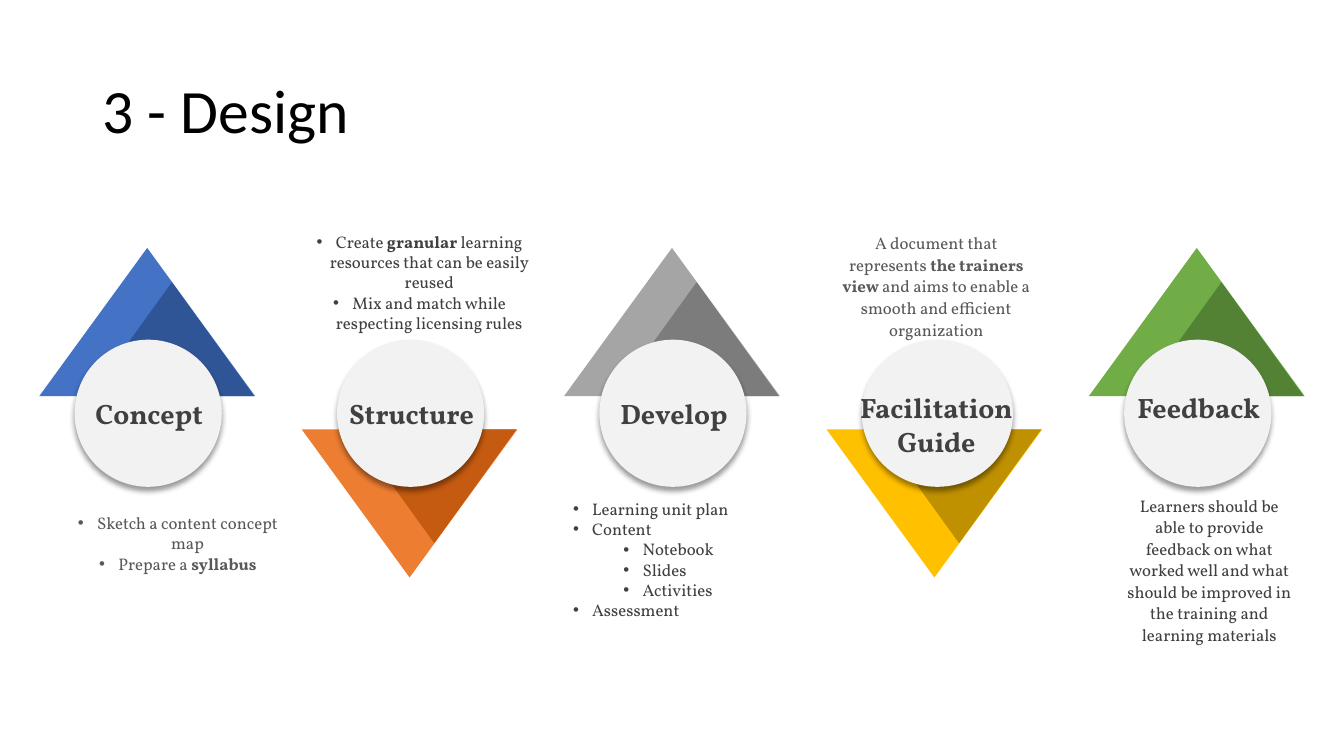
from dataclasses import dataclass

import pptx
import pptx.dml.color
import pptx.enum.shapes
import pptx.enum.text
import pptx.oxml
import pptx.oxml.ns
import pptx.util
from lxml import etree

RGBColor = pptx.dml.color.RGBColor
BLACK = RGBColor(0x00, 0x00, 0x00)
DARK_GRAY = RGBColor(0x40, 0x40, 0x40)
MID_GRAY = RGBColor(0x59, 0x59, 0x59)
CIRCLE_GRAY = RGBColor(0xF2, 0xF2, 0xF2)
BLUE = RGBColor(0x44, 0x72, 0xC4)
DARK_BLUE = RGBColor(0x2F, 0x55, 0x97)
ORANGE = RGBColor(0xED, 0x7D, 0x31)
DARK_ORANGE = RGBColor(0xC5, 0x5A, 0x11)
SILVER = RGBColor(0xA5, 0xA5, 0xA5)
DARK_SILVER = RGBColor(0x7C, 0x7C, 0x7C)
YELLOW = RGBColor(0xFF, 0xC0, 0x00)
DARK_YELLOW = RGBColor(0xBF, 0x90, 0x00)
GREEN = RGBColor(0x70, 0xAD, 0x47)
DARK_GREEN = RGBColor(0x54, 0x82, 0x35)

FIRST_COLUMN = 0.39
COLUMN_PITCH = (10.8 - FIRST_COLUMN) / 4
COLUMN_CENTER = 1.09
UPPER_ROW, CIRCLE_ROW, LOWER_ROW = 2.46, 3.37, 4.26
TRIANGLE_WIDTH, TRIANGLE_HEIGHT = 2.14, 1.47
SHADE_LEFT, SHADE_WIDTH, SHADE_HEIGHT = 0.5, 1.63, 1.13
CIRCLE_LEFT, CIRCLE_HEIGHT = 0.35, 1.46

TRIANGLE = pptx.enum.shapes.MSO_SHAPE.ISOSCELES_TRIANGLE
OVAL = pptx.enum.shapes.MSO_SHAPE.OVAL
CENTER = pptx.enum.text.PP_ALIGN.CENTER
LEFT = pptx.enum.text.PP_ALIGN.LEFT
TOP = pptx.enum.text.MSO_ANCHOR.TOP
MIDDLE = pptx.enum.text.MSO_ANCHOR.MIDDLE


@dataclass
class Stage:
    name: str
    color: RGBColor
    shade: RGBColor
    name_top: float
    name_width: float
    caption_box: tuple
    caption: list
    caption_format: dict
    circle_width: float = 1.46


STAGES = [
    Stage("Concept", BLUE, DARK_BLUE, 3.88, 1.36, (0.23, 5.04, 2.29, 0.71),
          ["Sketch a content concept map", "Prepare a **syllabus**"],
          {"color": MID_GRAY, "bullets": True}),
    Stage("Structure", ORANGE, DARK_ORANGE, 3.88, 1.5, (-0.02, 2.25, 2.38, 1.11),
          ["Create **granular** learning resources that can be easily reused",
           "Mix and match while respecting licensing rules"],
          {"bullets": True}),
    Stage("Develop", SILVER, DARK_SILVER, 3.88, 1.36, (-0.01, 4.9, 2.27, 1.31),
          ["Learning unit plan", "Content", (1, "Notebook"), (1, "Slides"),
           (1, "Activities"), "Assessment"],
          {"bullets": True, "align": LEFT}),
    Stage("Facilitation Guide", YELLOW, DARK_YELLOW, 3.83, 1.82, (0.02, 2.25, 2.14, 1.17),
          ["A document that represents **the trainers view **and aims to enable "
           "a smooth and efficient organization"],
          {"color": MID_GRAY, "line_spacing": 1.07}, circle_width=1.5),
    Stage("Feedback", GREEN, DARK_GREEN, 3.83, 1.46, (0.26, 4.85, 1.87, 1.39),
          ["Learners should be able to provide feedback on what worked well and what "
           "should be improved in the training and learning materials"],
          {"line_spacing": 1.07}),
]


def inches(*lengths):
    return [pptx.util.Inches(length) for length in lengths]


def add_bullet(paragraph, level):
    paragraph.level = level
    properties = paragraph._p.get_or_add_pPr()
    margin, indent = inches(0.19 + 0.5 * level, -0.19)
    properties.set("marL", str(margin))
    properties.set("indent", str(indent))
    for tag, attribute, value in (("a:buFont", "typeface", "Arial"), ("a:buChar", "char", "•")):
        etree.SubElement(properties, pptx.oxml.ns.qn(tag)).set(attribute, value)


def add_text(slide, box, paragraphs, size=12, font="Vollkorn", color=DARK_GRAY, bold=False,
             align=CENTER, anchor=TOP, line_spacing=None, bullets=False):
    frame = slide.shapes.add_textbox(*inches(*box)).text_frame
    frame.word_wrap = True
    frame.vertical_anchor = anchor
    for index, item in enumerate(paragraphs):
        level, text = item if isinstance(item, tuple) else (0, item)
        paragraph = frame.add_paragraph() if index else frame.paragraphs[0]
        if bullets:
            add_bullet(paragraph, level)
        paragraph.alignment = align
        if line_spacing:
            paragraph.line_spacing = line_spacing
        for position, part in enumerate(text.split("**")):
            if part:
                run = paragraph.add_run()
                run.text = part
                run.font.size = pptx.util.Pt(size)
                run.font.name = font
                run.font.color.rgb = color
                run.font.bold = bold or position % 2 == 1


def add_filled_shape(slide, preset, box, color, flipped=False):
    shape = slide.shapes.add_shape(preset, *inches(*box))
    shape.shadow.inherit = False
    shape.fill.solid()
    shape.fill.fore_color.rgb = color
    shape.line.fill.background()
    if flipped:
        shape._element.spPr.get_or_add_xfrm().set("flipV", "1")
    return shape


def add_drop_shadow(shape):
    effects = shape._element.spPr.find(pptx.oxml.ns.qn("a:effectLst"))
    effects.append(pptx.oxml.parse_xml(
        f'<a:outerShdw {pptx.oxml.ns.nsdecls("a")} blurRad="{pptx.util.Pt(4)}" '
        f'dist="{pptx.util.Pt(3)}" dir="5400000" algn="t" rotWithShape="0">'
        '<a:srgbClr val="000000"><a:alpha val="40000"/></a:srgbClr></a:outerShdw>'))


def add_stage(slide, column, stage):
    left = FIRST_COLUMN + column * COLUMN_PITCH
    flipped = column % 2 == 1
    top = LOWER_ROW if flipped else UPPER_ROW
    shade_top = top if flipped else top + TRIANGLE_HEIGHT - SHADE_HEIGHT
    add_filled_shape(slide, TRIANGLE, (left, top, TRIANGLE_WIDTH, TRIANGLE_HEIGHT),
                     stage.color, flipped)
    add_filled_shape(slide, TRIANGLE, (left + SHADE_LEFT, shade_top, SHADE_WIDTH, SHADE_HEIGHT),
                     stage.shade, flipped)
    circle = add_filled_shape(
        slide, OVAL, (left + CIRCLE_LEFT, CIRCLE_ROW, stage.circle_width, CIRCLE_HEIGHT),
        CIRCLE_GRAY)
    add_drop_shadow(circle)
    name_height = 0.77 if " " in stage.name else 0.44
    name_left = left + COLUMN_CENTER - stage.name_width / 2
    add_text(slide, (name_left, stage.name_top, stage.name_width, name_height),
             [stage.name], size=20, bold=True)
    offset, *caption_rest = stage.caption_box
    add_text(slide, (left + offset, *caption_rest), stage.caption, **stage.caption_format)


def main():
    presentation = pptx.Presentation()
    presentation.slide_width, presentation.slide_height = inches(13.33, 7.5)
    slide = presentation.slides.add_slide(presentation.slide_layouts[6])
    add_text(slide, (0.92, 0.4, 11.5, 1.45), ["3 - Design"], size=44, font="Calibri",
             color=BLACK, align=LEFT, anchor=MIDDLE, line_spacing=0.9)
    for column, stage in enumerate(STAGES):
        add_stage(slide, column, stage)
    presentation.save("out.pptx")


if __name__ == "__main__":
    main()
